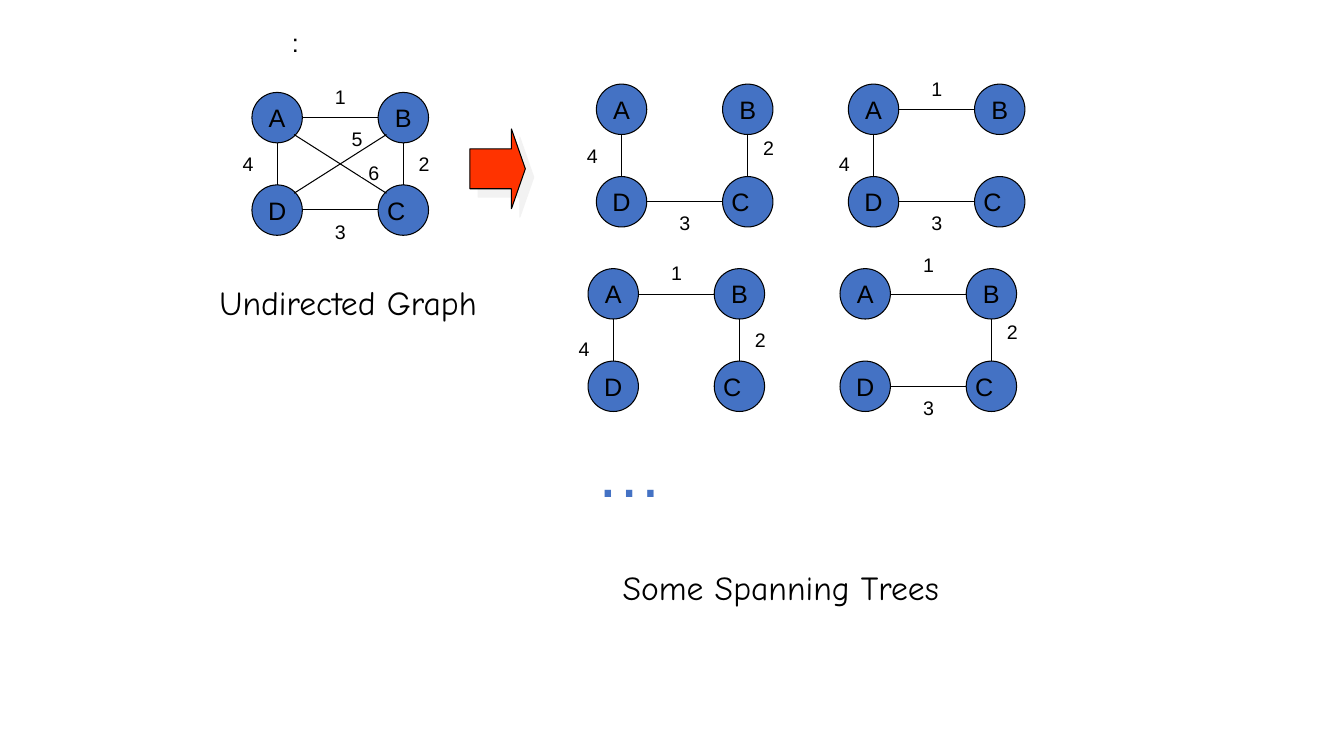
from dataclasses import dataclass

from lxml import etree
from pptx import Presentation
from pptx import util as u
from pptx.dml.color import RGBColor
from pptx.enum import shapes, text
from pptx.oxml import ns, parse_xml

BLACK, WHITE, BLUE, RED = "000000", "FFFFFF", "4472C4", "FF3300"
NODE_SIZE = 1.27
LABEL_SIZE = 0.64
STEP = 0.21


@dataclass(frozen=True)
class Node:
    name: str
    left: float
    top: float
    right_inset: float = 0


@dataclass(frozen=True)
class Edge:
    start: tuple[float, float]
    end: tuple[float, float]
    label: tuple[float, float]
    label_height: float = LABEL_SIZE


@dataclass(frozen=True)
class Graph:
    left: float
    top: float
    label_steps: dict[int, int]


NODES = [
    Node("A", 0, 0),
    Node("B", 3.18, 0),
    Node("C", 3.18, 2.33, right_inset=0.36),
    Node("D", 0, 2.33),
]
EDGES = {
    1: Edge((1.27, 0.64), (3.18, 0.64), (1.91, -0.21)),
    2: Edge((3.81, 1.27), (3.81, 2.33), (4.02, 1.48)),
    3: Edge((1.27, 2.96), (3.18, 2.96), (1.91, 3.18)),
    4: Edge((0.64, 1.27), (0.64, 2.33), (-0.42, 1.48)),
    5: Edge((1.06, 2.54), (3.39, 1.06), (2.33, 1.06), STEP),
    6: Edge((1.06, 1.06), (3.39, 2.54), (2.75, 1.91), STEP),
}
GRAPHS = [
    Graph(6.35, 2.33, {weight: 0 for weight in EDGES}),
    Graph(15.03, 2.12, {2: -1, 3: 0, 4: 0}),
    Graph(21.38, 2.12, {1: 0, 3: 0, 4: 1}),
    Graph(14.82, 6.77, {1: 0, 2: 0, 4: 1}),
    Graph(21.17, 6.77, {1: -1, 2: -1, 3: 0}),
]


def colour(value: str) -> RGBColor:
    return RGBColor.from_string(value)


def style_text(para, size: float, font: str, ink: str) -> None:
    for span in para.runs:
        span.font.size = u.Pt(size)
        span.font.name = font
        span.font.color.rgb = colour(ink)


def add_box(page, kind, left: float, top: float, width: float, height: float,
            fill: str, line: str):
    box = page.shapes.add_shape(kind, u.Cm(left), u.Cm(top), u.Cm(width), u.Cm(height))
    box.shadow.inherit = False
    box.fill.solid()
    box.fill.fore_color.rgb = colour(fill)
    box.line.color.rgb = colour(line)
    box.line.width = u.Pt(0.75)
    return box


def write_centred(box, words: str, size: float, ink: str = BLACK,
                  right_inset: float = 0) -> None:
    frame = box.text_frame
    frame.text = words
    frame.word_wrap = False
    frame.vertical_anchor = text.MSO_ANCHOR.MIDDLE
    frame.margin_left = 0
    frame.margin_right = u.Cm(right_inset)
    para = frame.paragraphs[0]
    para.alignment = text.PP_ALIGN.CENTER
    style_text(para, size, "Arial", ink)


def add_label(page, words: str, left: float, top: float, width: float, height: float,
              size: float, ink: str = BLACK) -> None:
    box = add_box(page, shapes.MSO_SHAPE.RECTANGLE, left, top, width, height, WHITE, WHITE)
    write_centred(box, words, size, ink)


def add_line(page, start: tuple[float, float], end: tuple[float, float]) -> None:
    line = page.shapes.add_connector(
        shapes.MSO_CONNECTOR.STRAIGHT, *(u.Cm(value) for value in start + end))
    line.line.color.rgb = colour(BLACK)
    line.line.width = u.Pt(0.75)
    etree.SubElement(line._element.spPr, ns.qn("a:effectLst"))


def add_graph(page, graph: Graph) -> None:
    for node in NODES:
        box = add_box(page, shapes.MSO_SHAPE.OVAL, graph.left + node.left,
                      graph.top + node.top, NODE_SIZE, NODE_SIZE, BLUE, BLACK)
        write_centred(box, node.name, 18, right_inset=node.right_inset)
    for weight in graph.label_steps:
        edge = EDGES[weight]
        add_line(page, *((graph.left + x, graph.top + y)
                         for x, y in (edge.start, edge.end)))
    for weight, steps in graph.label_steps.items():
        edge = EDGES[weight]
        x, y = edge.label
        add_label(page, str(weight), graph.left + x, graph.top + y + steps * STEP,
                  LABEL_SIZE, edge.label_height, 14)


def add_caption(page, words: str, left: float, top: float, width: float) -> None:
    box = page.shapes.add_textbox(u.Cm(left), u.Cm(top), u.Cm(width), u.Cm(1.27))
    box.text_frame.word_wrap = True
    box.text_frame.text = words
    style_text(box.text_frame.paragraphs[0], 24, "Comic Neue", BLACK)


def add_arrow(page) -> None:
    arrow = add_box(page, shapes.MSO_SHAPE.RIGHT_ARROW, 11.84, 3.25, 1.4, 2.01, RED, BLACK)
    arrow.adjustments[0] = 0.5
    arrow.adjustments[1] = 0.25
    effects = arrow._element.spPr.find(ns.qn("a:effectLst"))
    effects.append(parse_xml(
        f'<a:outerShdw {ns.nsdecls("a")} dist="{u.Pt(8.5)}" dir="2700000" algn="ctr" '
        'rotWithShape="0"><a:srgbClr val="E7E6E6"><a:alpha val="50000"/>'
        '</a:srgbClr></a:outerShdw>'))


def main() -> None:
    deck = Presentation()
    deck.slide_width, deck.slide_height = u.Cm(33.87), u.Cm(19.05)
    page = deck.slides.add_slide(deck.slide_layouts[6])
    add_caption(page, "Undirected Graph", 5.28, 6.99, 8)
    add_caption(page, "Some Spanning Trees", 15.44, 14.17, 9.86)
    add_arrow(page)
    add_label(page, ":", 6.81, 0.64, 1.27, 0.84, 18)
    for graph in GRAPHS:
        add_graph(page, graph)
    add_label(page, "…", 14.17, 11.23, 3.38, 1.27, 48, BLUE)
    deck.save("out.pptx")


if __name__ == "__main__":
    main()
